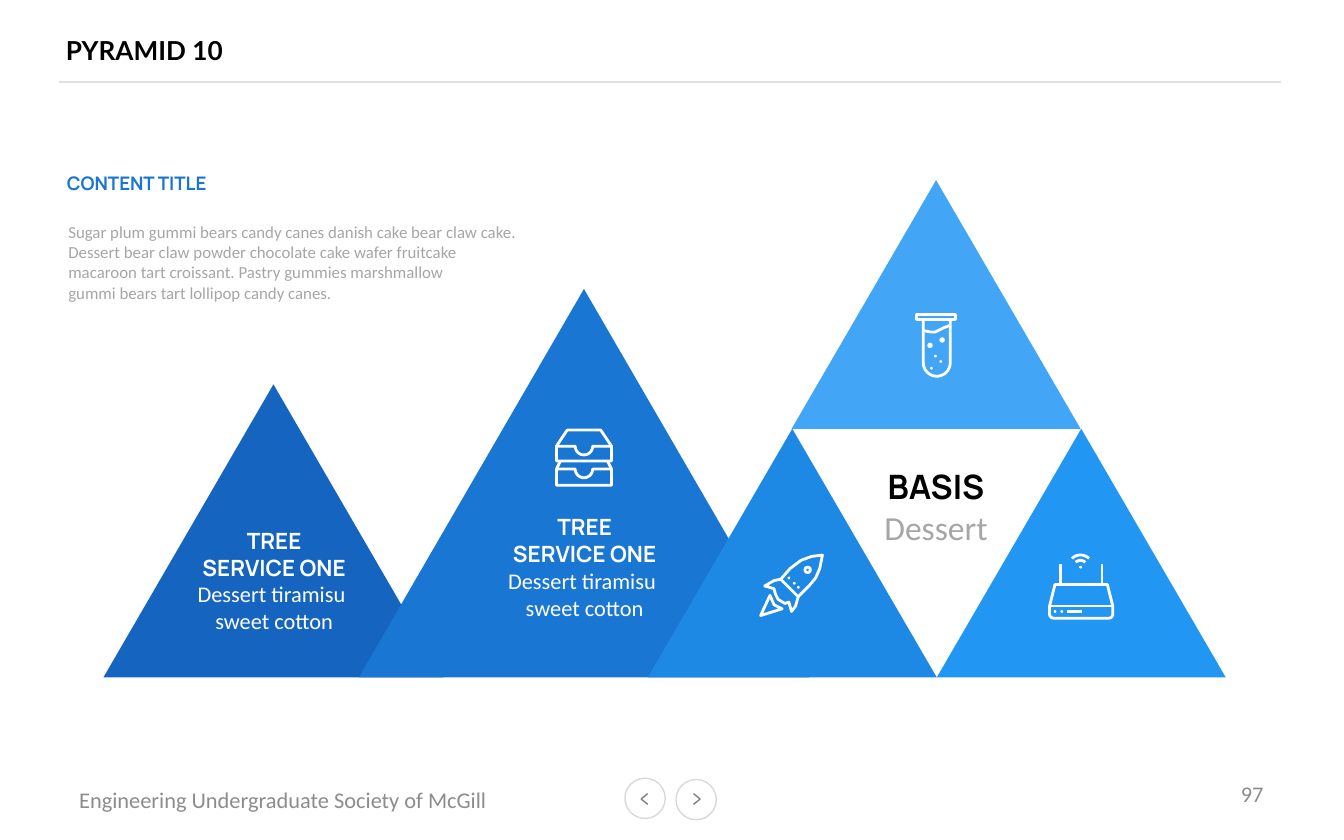
import math
from dataclasses import dataclass

import pptx
import pptx.dml.color
import pptx.enum.shapes
import pptx.enum.text
import pptx.oxml.ns
import pptx.util
from lxml import etree

Inches = pptx.util.Inches
RGBColor = pptx.dml.color.RGBColor
Shape = pptx.enum.shapes.MSO_SHAPE
Align = pptx.enum.text.PP_ALIGN
Anchor = pptx.enum.text.MSO_ANCHOR
AutoSize = pptx.enum.text.MSO_AUTO_SIZE

BLACK = RGBColor(0x00, 0x00, 0x00)
WHITE = RGBColor(0xFF, 0xFF, 0xFF)
BODY_GRAY = RGBColor(0xA6, 0xA6, 0xA6)
FOOTER_GRAY = RGBColor(0x8C, 0x8C, 0x8C)
ARROW_GRAY = RGBColor(0x80, 0x80, 0x80)
RING_GRAY = RGBColor(0xD9, 0xD9, 0xD9)
RULE_GRAY = RGBColor(0xE0, 0xE0, 0xE0)
NAVY = RGBColor(0x15, 0x65, 0xC0)
BLUE = RGBColor(0x19, 0x76, 0xD2)
MID_BLUE = RGBColor(0x1E, 0x88, 0xE5)
BRIGHT_BLUE = RGBColor(0x21, 0x96, 0xF3)
LIGHT_BLUE = RGBColor(0x42, 0xA5, 0xF5)

Point = tuple[float, float]


@dataclass
class Triangle:
    left: float
    top: float
    width: float
    height: float
    color: RGBColor


@dataclass
class Icon:
    strokes: list[list[Point]]
    dots: list[tuple[float, float, float]]  # centre x, centre y, radius


def arc(x: float, y: float, radius: float, start: int, end: int) -> list[Point]:
    """Points along an arc; degrees run clockwise from the right."""
    angles = [math.radians(start + (end - start) * i / 16) for i in range(17)]
    return [(x + radius * math.cos(a), y + radius * math.sin(a)) for a in angles]


def closed(*points: Point) -> list[Point]:
    return [*points, points[0]]


def tray_lip(y: float) -> list[Point]:
    return [(4.14, y), *arc(4.345, y, 0.065, 180, 0), (4.55, y)]


TRIANGLES = [
    Triangle(0.77, 2.86, 2.53, 2.18, NAVY),
    Triangle(2.67, 2.15, 3.35, 2.89, BLUE),
    Triangle(4.82, 3.19, 2.15, 1.85, MID_BLUE),
    Triangle(6.97, 3.19, 2.15, 1.85, BRIGHT_BLUE),
    Triangle(5.89, 1.34, 2.15, 1.85, LIGHT_BLUE),
]

TRAYS = Icon(
    [closed((4.22, 3.2), (4.47, 3.2), (4.55, 3.32), (4.55, 3.43), (4.14, 3.43), (4.14, 3.32)),
     [(4.17, 3.43), (4.14, 3.49), (4.14, 3.61), (4.55, 3.61), (4.55, 3.49), (4.52, 3.43)],
     tray_lip(3.32), tray_lip(3.49)],
    [])
TEST_TUBE = Icon(
    [closed((6.82, 2.34), (7.11, 2.34), (7.11, 2.38), (6.82, 2.38)),
     [(6.87, 2.38), *arc(6.97, 2.7, 0.1, 180, 0), (7.07, 2.38)],
     [(6.87, 2.46), (6.92, 2.47), (6.96, 2.47), (7.02, 2.44), (7.07, 2.42)]],
    [(6.92, 2.57, 0.02), (7.01, 2.53, 0.02), (6.96, 2.65, 0.01),
     (6.93, 2.74, 0.01), (7, 2.69, 0.01)])
ROCKET = Icon(
    [closed((6.12, 4.13), (6.1, 4.23), (6.07, 4.3), (6.02, 4.36), (5.94, 4.44),
            (5.81, 4.31), (5.88, 4.23), (5.96, 4.17), (6.04, 4.14)),
     [(5.81, 4.31), (5.76, 4.32), (5.69, 4.36), (5.76, 4.38), (5.77, 4.42), (5.79, 4.46),
      (5.84, 4.49), (5.87, 4.48), (5.89, 4.55), (5.92, 4.51), (5.94, 4.44)],
     closed((5.73, 4.43), (5.66, 4.58), (5.82, 4.53), (5.76, 4.5)),
     arc(6.01, 4.24, 0.02, 0, 360)],
    [(5.87, 4.3, 0.01), (5.91, 4.34, 0.01), (5.94, 4.37, 0.01)])
ROUTER = Icon(
    [closed((7.85, 4.35), (8.24, 4.35), (8.28, 4.51), *arc(8.25, 4.57, 0.03, 0, 90),
            *arc(7.84, 4.57, 0.03, 90, 180), (7.81, 4.51)),
     [(7.81, 4.51), (8.28, 4.51)], [(7.94, 4.55), (8.05, 4.55)],
     [(7.89, 4.2), (7.89, 4.35)], [(8.2, 4.2), (8.2, 4.35)],
     arc(8.04, 4.22, 0.09, 225, 315), arc(8.04, 4.22, 0.05, 225, 315)],
    [(8.04, 4.22, 0.01), (7.85, 4.55, 0.01), (7.9, 4.55, 0.01)])


def write_line(frame, text: str, *, size: float, color: RGBColor, font: str = "Calibri",
               bold: bool = False, align=Align.LEFT) -> None:
    """Write one paragraph, using the empty first one if it is free."""
    first = frame.paragraphs[0]
    para = frame.add_paragraph() if first.runs else first
    para.alignment = align
    span = para.add_run()
    span.text = text
    span.font.name = font
    span.font.size = pptx.util.Pt(size)
    span.font.bold = bold
    span.font.color.rgb = color


def add_frame(page, left: float, top: float, width: float, height: float,
              anchor=Anchor.TOP, wrap: bool = True):
    box = page.shapes.add_textbox(Inches(left), Inches(top), Inches(width), Inches(height))
    frame = box.text_frame
    frame.word_wrap = wrap
    frame.vertical_anchor = anchor
    return frame


def add_filled(page, kind, left: float, top: float, width: float, height: float,
               color: RGBColor):
    shape = page.shapes.add_shape(kind, Inches(left), Inches(top), Inches(width), Inches(height))
    shape.shadow.inherit = False
    shape.fill.solid()
    shape.fill.fore_color.rgb = color
    shape.line.fill.background()
    return shape


def add_line(page, start: Point, end: Point, color: RGBColor) -> None:
    line = page.shapes.add_connector(pptx.enum.shapes.MSO_CONNECTOR.STRAIGHT,
                                     *map(Inches, (*start, *end)))
    line.line.color.rgb = color
    line.line.width = pptx.util.Pt(0.75)
    etree.SubElement(line._element.spPr, pptx.oxml.ns.qn("a:effectLst"))


def add_nav_button(page, left: float, top: float, tip: float, tail: float) -> None:
    ring = add_filled(page, Shape.OVAL, left, top, 0.3, 0.3, WHITE)
    ring.line.color.rgb = RING_GRAY
    ring.line.width = pptx.util.Pt(0.75)
    for offset in (-0.04, 0.04):
        add_line(page, (tip, 5.945), (tail, 5.945 + offset), ARROW_GRAY)


def add_icon(page, icon: Icon) -> None:
    strokes = [[(Inches(x), Inches(y)) for x, y in stroke] for stroke in icon.strokes]
    builder = page.shapes.build_freeform(*strokes[0][0])
    builder.add_line_segments(strokes[0][1:], close=False)
    for stroke in strokes[1:]:
        builder.move_to(*stroke[0])
        builder.add_line_segments(stroke[1:], close=False)
    outline = builder.convert_to_shape()
    outline.shadow.inherit = False
    outline.fill.background()
    outline.line.color.rgb = WHITE
    outline.line.width = pptx.util.Pt(1.5)
    for x, y, radius in icon.dots:
        add_filled(page, Shape.OVAL, x - radius, y - radius, 2 * radius, 2 * radius, WHITE)


def add_service(page, left: float, top: float) -> None:
    frame = add_frame(page, left, top, 1.52, 0.91)
    for text in ("TREE", "SERVICE ONE"):
        write_line(frame, text, size=12, color=WHITE, font="Manrope", bold=True,
                   align=Align.CENTER)
    for text in ("Dessert tiramisu ", "sweet cotton"):
        write_line(frame, text, size=12, color=WHITE, align=Align.CENTER)


def main() -> None:
    deck = pptx.Presentation()
    deck.slide_width, deck.slide_height = Inches(10), Inches(6.25)
    page = deck.slides.add_slide(deck.slide_layouts[5])

    # Title and rule
    title = page.shapes.title
    title.left, title.top, title.width, title.height = map(Inches, (0.49, 0.16, 6.67, 0.43))
    frame = title.text_frame
    frame.margin_left = frame.margin_right = frame.margin_top = frame.margin_bottom = 0
    frame.vertical_anchor = Anchor.MIDDLE
    frame.auto_size = AutoSize.NONE
    write_line(frame, "PYRAMID 10", size=14, color=BLACK, font="Lato", bold=True)
    add_line(page, (0.44, 0.61), (9.53, 0.61), RULE_GRAY)

    # Footer
    write_line(add_frame(page, 0.49, 5.8, 3.39, 0.3, Anchor.MIDDLE),
               "Engineering Undergraduate Society of McGill", size=12, color=FOOTER_GRAY)
    write_line(add_frame(page, 7.17, 5.74, 2.33, 0.33, Anchor.MIDDLE),
               "97", size=12, color=FOOTER_GRAY, align=Align.RIGHT)
    add_nav_button(page, 4.65, 5.79, 4.77, 4.82)
    add_nav_button(page, 5.03, 5.8, 5.21, 5.16)

    # Pyramids with their labels and icons
    for item in TRIANGLES:
        add_filled(page, Shape.ISOSCELES_TRIANGLE, item.left, item.top, item.width,
                   item.height, item.color)
    frame = add_frame(page, 6.33, 3.42, 1.27, 0.71)
    write_line(frame, "BASIS", size=18, color=BLACK, font="Manrope", bold=True,
               align=Align.CENTER)
    write_line(frame, "Dessert", size=18, color=BODY_GRAY, align=Align.CENTER)
    add_service(page, 1.28, 3.87)
    add_service(page, 3.59, 3.77)
    for icon in (TRAYS, TEST_TUBE, ROCKET, ROUTER):
        add_icon(page, icon)

    # Introduction
    write_line(add_frame(page, 0.4, 1.23, 1.34, 0.28, wrap=False), "CONTENT TITLE",
               size=10, color=BLUE, font="Manrope", bold=True)
    frame = add_frame(page, 0.41, 1.6, 3.58, 0.71)
    for text in ("Sugar plum gummi bears candy canes danish cake bear claw cake. "
                 "Dessert bear claw powder chocolate cake wafer fruitcake "
                 "macaroon tart croissant. Pastry gummies marshmallow",
                 "gummi bears tart lollipop candy canes."):
        write_line(frame, text, size=9, color=BODY_GRAY)

    deck.save("out.pptx")


if __name__ == "__main__":
    main()
